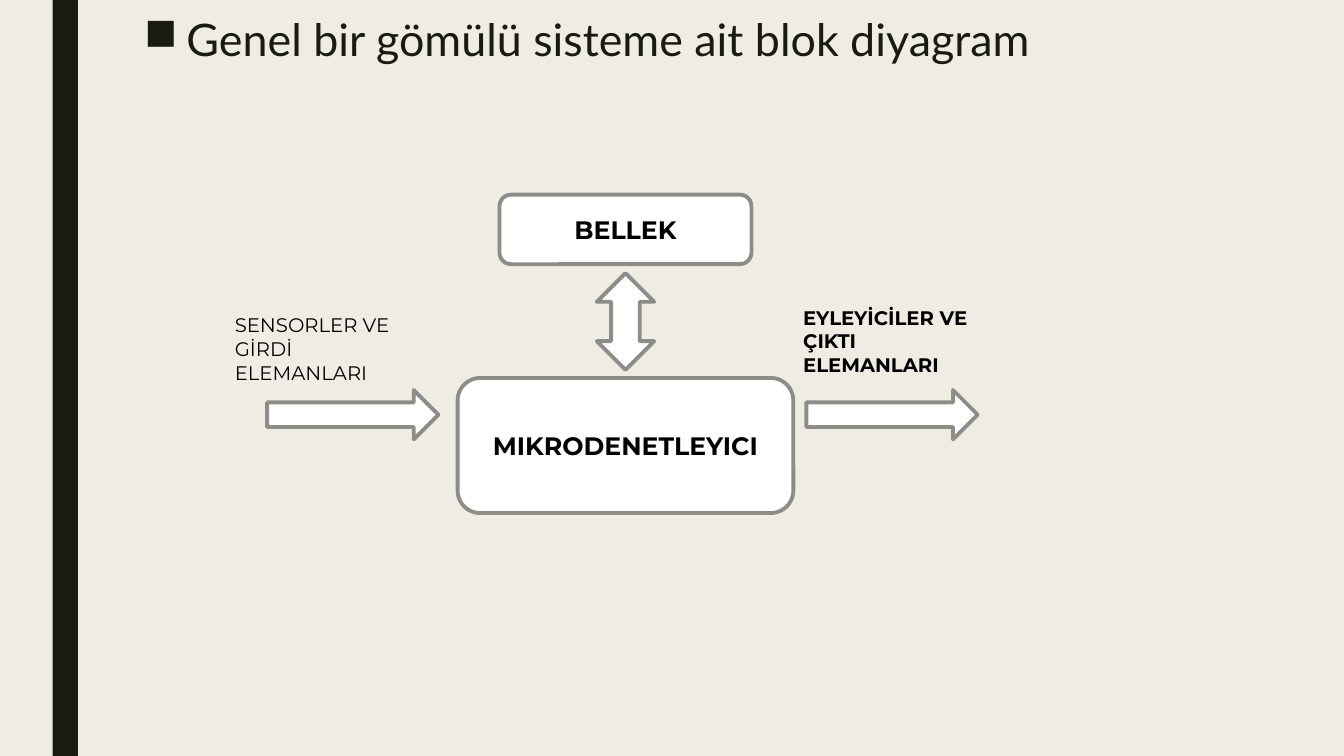
from dataclasses import dataclass

from lxml.etree import SubElement
from pptx import Presentation
from pptx.dml.color import RGBColor
from pptx.enum.shapes import MSO_SHAPE
from pptx.enum.text import MSO_ANCHOR, MSO_AUTO_SIZE, PP_ALIGN
from pptx.oxml.ns import qn
from pptx.slide import Slide
from pptx.text.text import TextFrame
from pptx.util import Pt

COLORS = {
    "background": "EFEDE3",
    "dark": "191B0E",
    "outline": "8C8D86",
    "white": "FFFFFF",
    "black": "000000",
}
CENTER_X = 446.8
ARROW_TOP = 278.6


@dataclass
class Block:
    kind: MSO_SHAPE
    left: float
    top: float
    width: float
    height: float
    text: str = ""


@dataclass
class Label:
    text: str
    left: float
    top: float
    bold: bool


def centered(kind: MSO_SHAPE, top: float, width: float, height: float, text: str = "") -> Block:
    """Describe a block of the central column."""
    return Block(kind, CENTER_X - width / 2, top, width, height, text)


def side_arrow(left: float) -> Block:
    return Block(MSO_SHAPE.RIGHT_ARROW, left, ARROW_TOP, 122.4, 35.3)


BLOCKS = [
    side_arrow(190.8),
    centered(MSO_SHAPE.ROUNDED_RECTANGLE, 270, 239.8, 96.5, "MIKRODENETLEYICI"),
    centered(MSO_SHAPE.ROUNDED_RECTANGLE, 139, 180, 49.7, "BELLEK"),
    centered(MSO_SHAPE.UP_DOWN_ARROW, 195.1, 41, 69.1),
    side_arrow(576),
]
LABELS = [
    Label("SENSORLER VE GİRDİ ELEMANLARI", 160.6, 220.3, False),
    Label("EYLEYİCİLER VE ÇIKTI ELEMANLARI", 566.6, 214.6, True),
]


def color(name: str) -> RGBColor:
    return RGBColor.from_string(COLORS[name])


def write(frame: TextFrame, text: str, *, size: float, font: str = "Montserrat",
          ink: str = "black", bold: bool = False, align: PP_ALIGN = PP_ALIGN.LEFT,
          anchor: MSO_ANCHOR = MSO_ANCHOR.TOP, bullet: str = "",
          line_spacing: float = 1.0) -> None:
    frame.word_wrap = True
    frame.auto_size = MSO_AUTO_SIZE.NONE
    frame.vertical_anchor = anchor
    para = frame.paragraphs[0]
    para.alignment = align
    para.line_spacing = line_spacing
    if bullet:
        properties = para._p.get_or_add_pPr()
        indent = Pt(30.2)
        properties.set("marL", str(indent))
        properties.set("indent", str(-indent))
        SubElement(properties, qn("a:buChar")).set("char", bullet)
    span = para.add_run()
    span.text = text
    span.font.name = font
    span.font.size = Pt(size)
    span.font.bold = bold
    span.font.color.rgb = color(ink)


def add_title(page: Slide) -> None:
    title = page.shapes.title
    title.left, title.top, title.width, title.height = Pt(95.8), Pt(7.9), Pt(847.4), Pt(525.6)
    write(title.text_frame, "Genel bir gömülü sisteme ait blok diyagram", size=32,
          font="Lato", ink="dark", bullet="■", line_spacing=0.94)


def add_side_bar(page: Slide) -> None:
    bar = page.shapes.add_shape(MSO_SHAPE.RECTANGLE, Pt(37.6), 0, Pt(18), Pt(540))
    bar.shadow.inherit = False
    bar.fill.solid()
    bar.fill.fore_color.rgb = color("dark")
    bar.line.fill.background()


def add_block(page: Slide, block: Block) -> None:
    shape = page.shapes.add_shape(block.kind, Pt(block.left), Pt(block.top),
                                  Pt(block.width), Pt(block.height))
    shape.shadow.inherit = False
    shape.fill.solid()
    shape.fill.fore_color.rgb = color("white")
    shape.line.color.rgb = color("outline")
    shape.line.width = Pt(2.75)
    if block.text:
        write(shape.text_frame, block.text, size=18, bold=True,
              align=PP_ALIGN.CENTER, anchor=MSO_ANCHOR.MIDDLE)


def add_label(page: Slide, label: Label) -> None:
    box = page.shapes.add_textbox(Pt(label.left), Pt(label.top), Pt(152.6), Pt(58.3))
    write(box.text_frame, label.text, size=14, bold=label.bold)


def main() -> None:
    deck = Presentation()
    deck.slide_width, deck.slide_height = Pt(960), Pt(540)
    page = deck.slides.add_slide(deck.slide_layouts[5])
    page.background.fill.solid()
    page.background.fill.fore_color.rgb = color("background")
    add_side_bar(page)
    add_title(page)
    for block in BLOCKS:
        add_block(page, block)
    for label in LABELS:
        add_label(page, label)
    deck.save("out.pptx")


if __name__ == "__main__":
    main()
